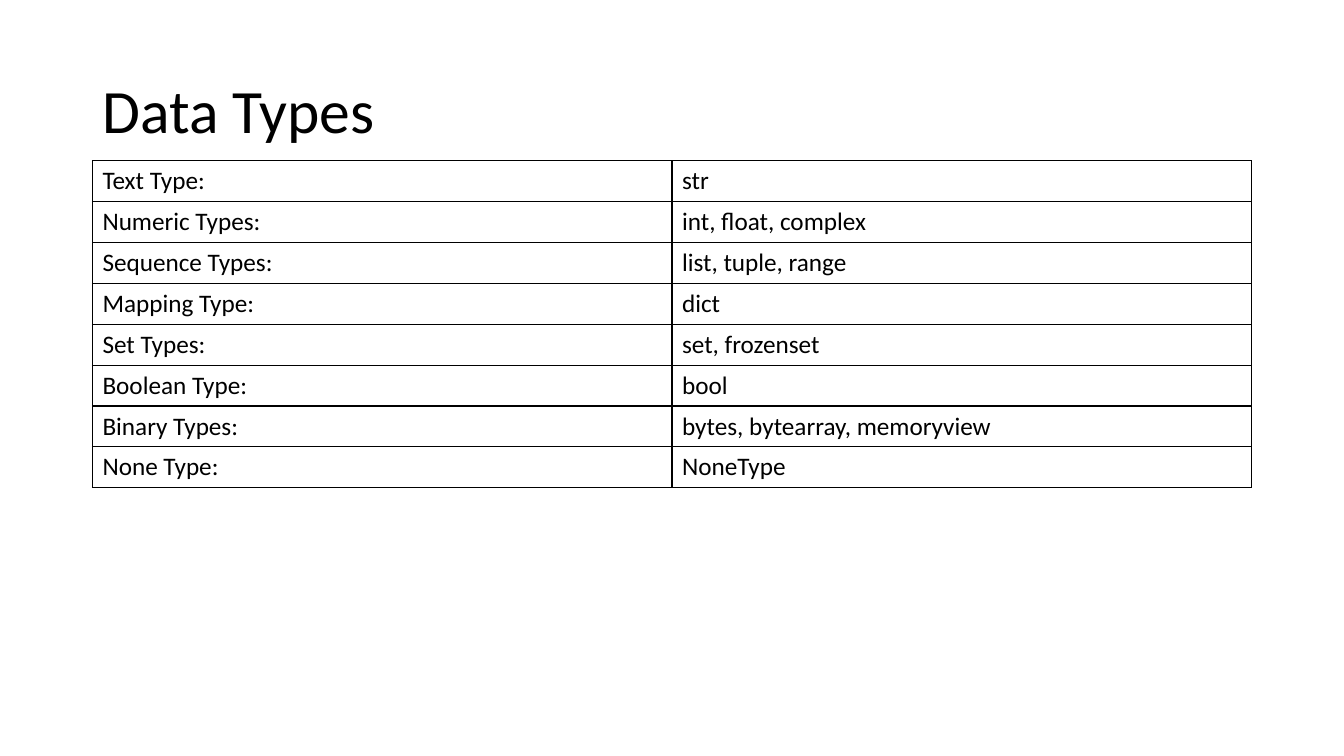
from lxml import etree
from pptx import Presentation, util as u
from pptx.dml import color
from pptx.enum import text
from pptx.oxml import ns

DATA_TYPES = [
    ("Text Type:", "str"),
    ("Numeric Types:", "int, float, complex"),
    ("Sequence Types:", "list, tuple, range"),
    ("Mapping Type:", "dict"),
    ("Set Types:", "set, frozenset"),
    ("Boolean Type:", "bool"),
    ("Binary Types:", "bytes, bytearray, memoryview"),
    ("None Type:", "NoneType"),
]


def rgb(value):
    return color.RGBColor.from_string(value)


class SlideBuilder:
    font_name = "Calibri"
    ink = "000000"

    def __init__(self, slide):
        self.slide = slide

    def style(self, paragraph, size):
        for run in paragraph.runs:
            run.font.name = self.font_name
            run.font.size = u.Pt(size)
            run.font.color.rgb = rgb(self.ink)

    def title(self, wording, left, top, width, height):
        heading = self.slide.shapes.add_textbox(
            u.Cm(left), u.Cm(top), u.Cm(width), u.Cm(height))
        frame = heading.text_frame
        frame.word_wrap = True
        frame.vertical_anchor = text.MSO_ANCHOR.MIDDLE
        frame.text = wording
        frame.paragraphs[0].line_spacing = 0.9
        self.style(frame.paragraphs[0], 44)

    def border(self, cell, width):
        properties = cell._tc.get_or_add_tcPr()
        for side in ("a:lnL", "a:lnR", "a:lnT", "a:lnB"):
            line = etree.SubElement(properties, ns.qn(side), w=str(u.Pt(width)))
            fill = etree.SubElement(line, ns.qn("a:solidFill"))
            etree.SubElement(fill, ns.qn("a:srgbClr"), val=self.ink)

    def table(self, rows, left, top, width, row_height):
        grid = self.slide.shapes.add_table(
            len(rows), len(rows[0]), u.Cm(left), u.Cm(top),
            u.Cm(width), u.Cm(row_height * len(rows))).table
        grid.first_row = False
        grid.horz_banding = False
        for r, row in enumerate(rows):
            for c, wording in enumerate(row):
                cell = grid.cell(r, c)
                self.border(cell, 1)
                cell.fill.background()
                cell.text = wording
                self.style(cell.text_frame.paragraphs[0], 18)


def main():
    deck = Presentation()
    deck.slide_width, deck.slide_height = u.Cm(33.87), u.Cm(19.05)
    builder = SlideBuilder(deck.slides.add_slide(deck.slide_layouts[6]))
    builder.title("Data Types", 2.33, 1.01, 29.21, 3.68)
    builder.table(DATA_TYPES, 2.33, 4.05, 29.21, 1.03)
    deck.save("out.pptx")


if __name__ == "__main__":
    main()
